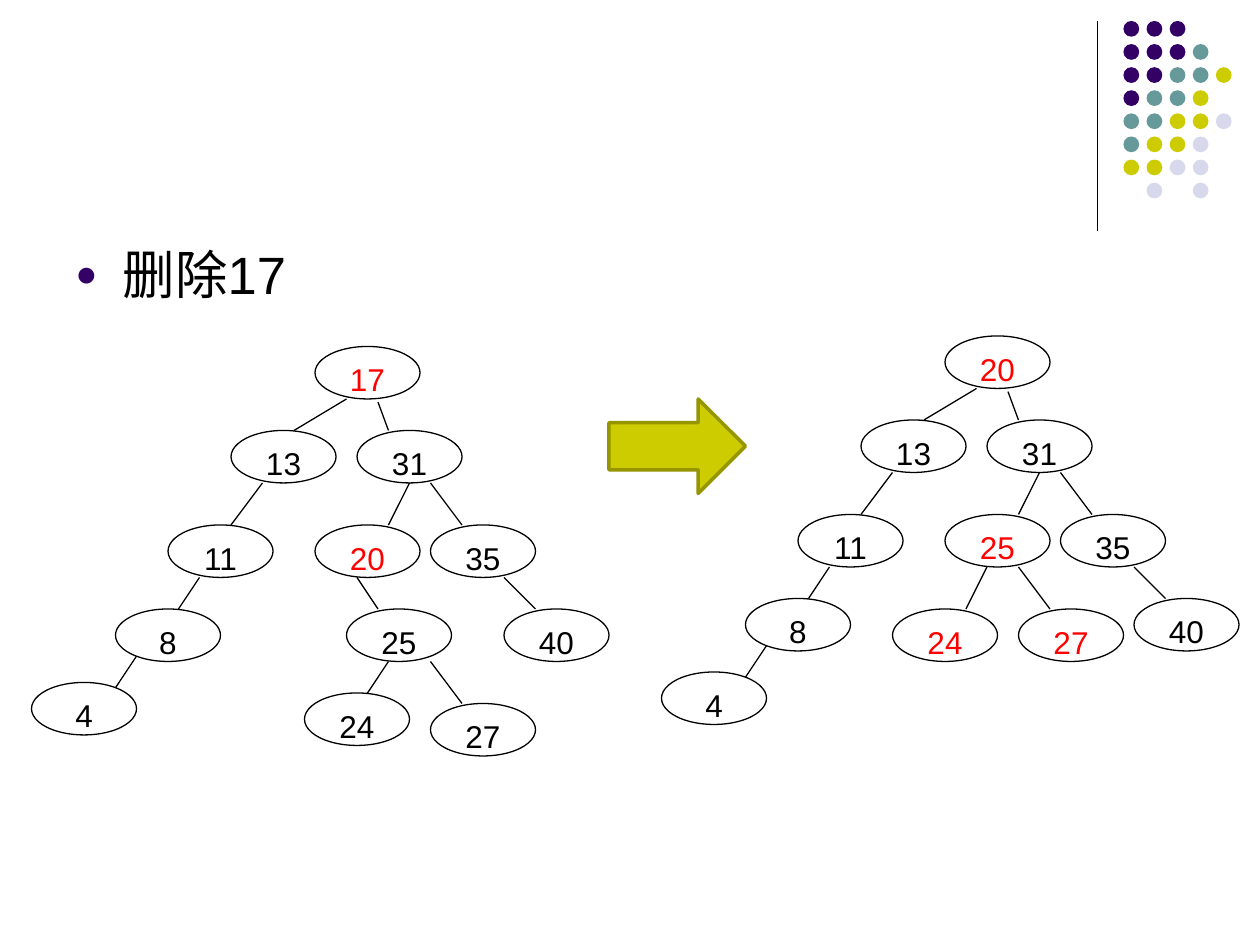
from lxml.etree import SubElement
from pptx import Presentation
from pptx.dml.color import RGBColor as RGB
from pptx.enum.shapes import MSO_CONNECTOR as CXN, MSO_SHAPE as SHAPE
from pptx.enum.text import MSO_ANCHOR as ANCHOR, PP_ALIGN as ALIGN
from pptx.oxml.ns import qn
from pptx.util import Pt

PX = 7620
COLORS = {
    "black": "000000", "white": "FFFFFF", "red": "FF0000", "olive": "959500",
    "P": "330066", "T": "669999", "Y": "CCCC00", "L": "D8D8EC",
}

prs = Presentation()
prs.slide_width, prs.slide_height = 1200 * PX, 900 * PX
s = prs.slides.add_slide(prs.slide_layouts[6])


def add_text(shapes, text, x, y, w, h, kind=None, fill=None, line=None,
             weight=0.75, size=18, color="black", align=ALIGN.CENTER, bullet=None):
    box = [v * PX for v in (x, y, w, h)]
    if kind is None:
        sp = shapes.add_textbox(*box)
    else:
        sp = shapes.add_shape(kind, *box)
        sp.shadow.inherit = False
        sp.fill.solid()
        sp.fill.fore_color.rgb = RGB.from_string(COLORS[fill])
        if line:
            sp.line.color.rgb = RGB.from_string(COLORS[line])
            sp.line.width = Pt(weight)
        else:
            sp.line.fill.background()
    if text:
        tf = sp.text_frame
        tf.word_wrap = True
        tf.vertical_anchor = ANCHOR.TOP
        p = tf.paragraphs[0]
        p.alignment = align
        if bullet:
            pPr = p._p.get_or_add_pPr()
            pPr.set("marL", str(45 * PX))
            pPr.set("indent", str(-45 * PX))
            clr = SubElement(pPr, qn("a:buClr"))
            SubElement(clr, qn("a:srgbClr"), val=COLORS["P"])
            SubElement(pPr, qn("a:buSzPct"), val="70000")
            SubElement(pPr, qn("a:buFont"), typeface="Arial")
            SubElement(pPr, qn("a:buChar"), char=bullet)
        r = p.add_run()
        r.text = text
        r.font.name = "Arial"
        r.font.size = Pt(size)
        r.font.color.rgb = RGB.from_string(COLORS[color])
    return sp


def add_line(shapes, x1, y1, x2, y2):
    c = shapes.add_connector(CXN.STRAIGHT, x1 * PX, y1 * PX, x2 * PX, y2 * PX)
    c.line.color.rgb = RGB.from_string(COLORS["black"])
    c.line.width = Pt(0.75)
    SubElement(c._element.spPr, qn("a:effectLst"))


add_line(s.shapes, 1045, 20, 1045, 220)

dots = s.shapes.add_group_shape().shapes
dot_rows = ["PPP", "PPPT", "PPTTY", "PTTY", "TTYYL", "TYYL", "YYLL", " L L"]
for row, codes in enumerate(dot_rows):
    for col, code in enumerate(codes):
        if code != " ":
            add_text(dots, "", 1070 + 22 * col, 20 + 22 * row, 15, 15,
                     kind=SHAPE.OVAL, fill=code)

add_text(s.shapes, "删除17", 60, 225, 1080, 578, size=30, align=ALIGN.LEFT, bullet="●")

shared_nodes = [
    ("13", 220, 410), ("31", 340, 410), ("11", 160, 500), ("35", 410, 500),
    ("8", 110, 580), ("4", 30, 650), ("40", 480, 580),
]
shared_edges = [
    (370, 410, 360, 383), (280, 410, 330, 380), (220, 500, 250, 460),
    (370, 500, 390, 460), (440, 500, 410, 460), (170, 580, 190, 550),
    (110, 655, 130, 625), (510, 580, 480, 550),
]
before = {
    "offset": (0, 0),
    "nodes": [("17", 300, 330), ("20", 300, 500), ("25", 330, 580),
              ("24", 290, 660), ("27", 410, 670)],
    "edges": [(360, 580, 340, 550), (350, 660, 370, 630), (440, 670, 410, 630)],
    "red": {"17", "20"},
}
after = {
    "offset": (600, -10),
    "nodes": [("20", 300, 330), ("25", 300, 500), ("24", 250, 590), ("27", 370, 590)],
    "edges": [(320, 590, 340, 550), (400, 590, 370, 550)],
    "red": {"20", "25", "24", "27"},
}
for tree in (before, after):
    shapes = s.shapes.add_group_shape().shapes
    dx, dy = tree["offset"]
    for key, x, y in shared_nodes + tree["nodes"]:
        add_text(shapes, key, x + dx, y + dy, 100, 50, kind=SHAPE.OVAL,
                 fill="white", line="black",
                 color="red" if key in tree["red"] else "black")
    for x1, y1, x2, y2 in shared_edges + tree["edges"]:
        add_line(shapes, x1 + dx, y1 + dy, x2 + dx, y2 + dy)

add_text(s.shapes, "", 580, 380, 130, 90, kind=SHAPE.RIGHT_ARROW,
         fill="Y", line="olive", weight=2)

prs.save("out.pptx")
